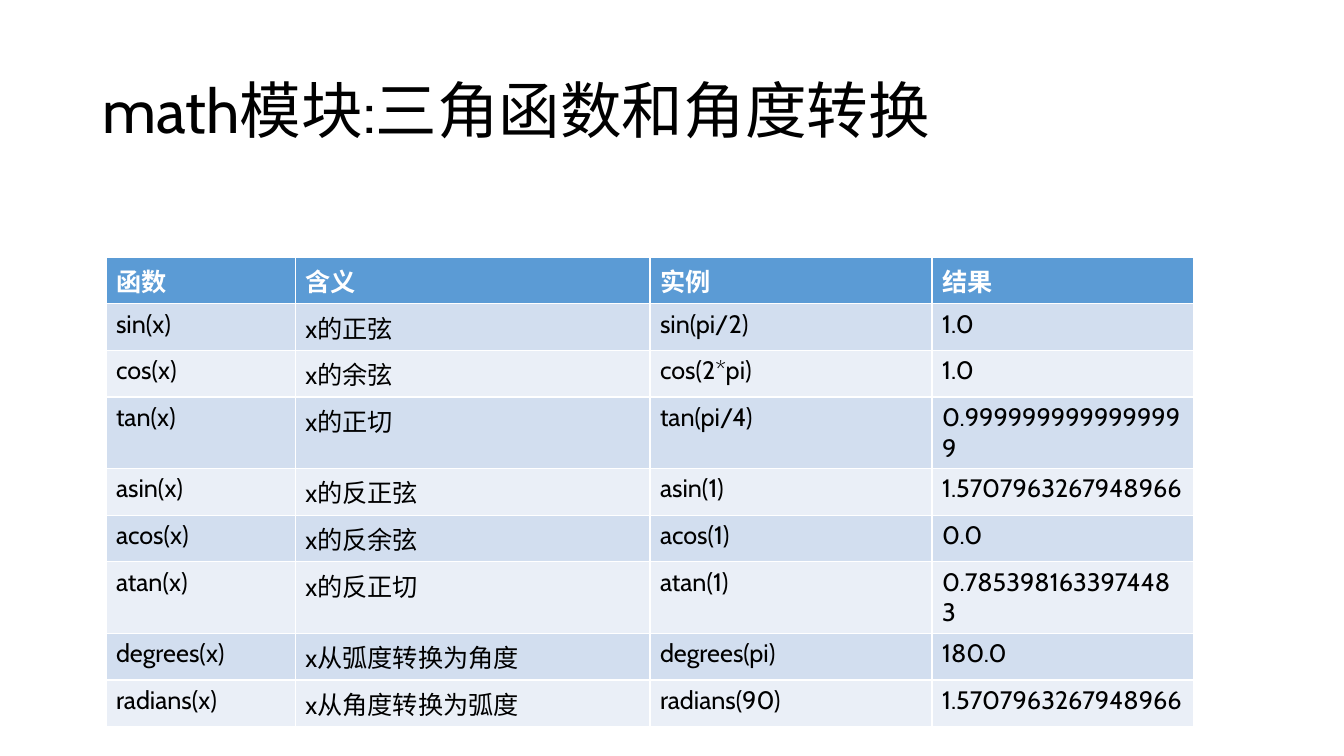
from pptx import Presentation
from pptx.dml.color import RGBColor
from pptx.enum.text import MSO_ANCHOR, MSO_AUTO_SIZE, PP_ALIGN
from pptx.util import Cm, Pt

BLACK = RGBColor(0x00, 0x00, 0x00)
WHITE = RGBColor(0xFF, 0xFF, 0xFF)
BLUE = RGBColor(0x5B, 0x9B, 0xD5)
MID = RGBColor(0xD2, 0xDE, 0xEF)
PALE = RGBColor(0xEA, 0xEF, 0xF7)

ROWS = [
    ("函数", "含义", "实例", "结果"),
    ("sin(x)", "x的正弦", "sin(pi/2)", "1.0"),
    ("cos(x)", "x的余弦", "cos(2*pi)", "1.0"),
    ("tan(x)", "x的正切", "tan(pi/4)", "0.9999999999999999"),
    ("asin(x)", "x的反正弦", "asin(1)", "1.5707963267948966"),
    ("acos(x)", "x的反余弦", "acos(1)", "0.0"),
    ("atan(x)", "x的反正切", "atan(1)", "0.7853981633974483"),
    ("degrees(x)", "x从弧度转换为角度", "degrees(pi)", "180.0"),
    ("radians(x)", "x从角度转换为弧度", "radians(90)", "1.5707963267948966"),
]
WIDTHS = [4.77, 8.94, 7.11, 6.6]
HEIGHT = 1.03


def add_run(para, text, size, color, bold=False):
    run = para.add_run()
    run.text = text
    run.font.name = "Cabin"
    run.font.size = Pt(size)
    run.font.bold = bold
    run.font.color.rgb = color


deck = Presentation()
deck.slide_width = Cm(33.87)
deck.slide_height = Cm(19.05)
slide = deck.slides.add_slide(deck.slide_layouts[5])

title = slide.shapes.title
title.left, title.top = Cm(2.33), Cm(1.01)
title.width, title.height = Cm(29.21), Cm(3.68)
frame = title.text_frame
frame.word_wrap = True
frame.auto_size = MSO_AUTO_SIZE.NONE
frame.vertical_anchor = MSO_ANCHOR.MIDDLE
para = frame.paragraphs[0]
para.alignment = PP_ALIGN.LEFT
para.line_spacing = 0.9
add_run(para, "math模块:三角函数和角度转换", 44, BLACK)

table = slide.shapes.add_table(
    len(ROWS), len(WIDTHS), Cm(2.67), Cm(6.48),
    Cm(sum(WIDTHS)), Cm(HEIGHT * len(ROWS))).table
for column, width in zip(table.columns, WIDTHS):
    column.width = Cm(width)

for i, row in enumerate(ROWS):
    table.rows[i].height = Cm(HEIGHT)
    head = i == 0
    fill = BLUE if head else MID if i % 2 else PALE
    for j, text in enumerate(row):
        cell = table.cell(i, j)
        cell.fill.solid()
        cell.fill.fore_color.rgb = fill
        add_run(cell.text_frame.paragraphs[0], text, 18,
                WHITE if head else BLACK, head)

deck.save("out.pptx")
